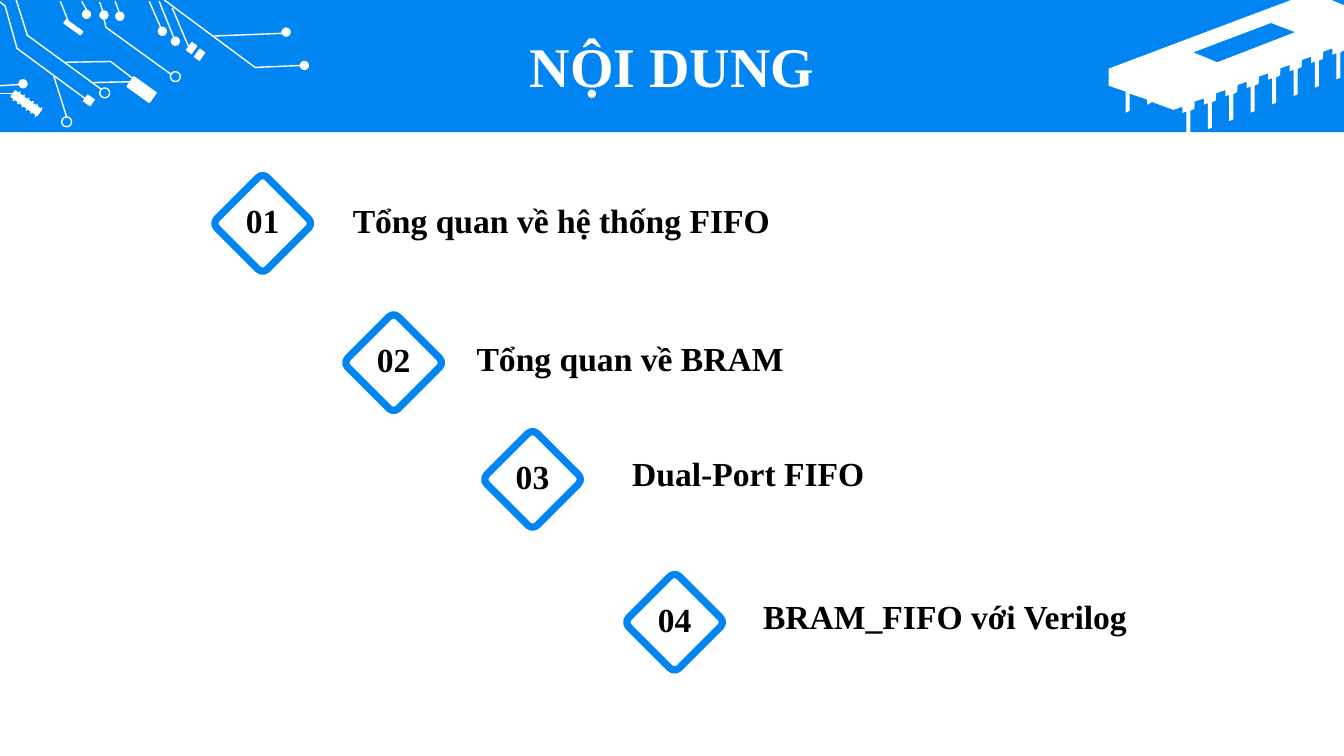
from dataclasses import dataclass
from lxml import etree
from pptx import Presentation
from pptx.dml.color import RGBColor
from pptx.enum.shapes import MSO_CONNECTOR, MSO_SHAPE
from pptx.enum.text import MSO_ANCHOR, MSO_AUTO_SIZE, PP_ALIGN
from pptx.oxml.ns import qn
from pptx.util import Cm, Pt

BOX, OVAL, ROUND = MSO_SHAPE.RECTANGLE, MSO_SHAPE.OVAL, MSO_SHAPE.ROUNDED_RECTANGLE
STRAIGHT = MSO_CONNECTOR.STRAIGHT
LEFT, CENTER = PP_ALIGN.LEFT, PP_ALIGN.CENTER
TOP, FIXED = MSO_ANCHOR.TOP, MSO_AUTO_SIZE.NONE
COLORS = {"blue": "0085F2", "white": "FFFFFF", "black": "000000"}
FONT = "Times New Roman"
WIDTH, HEIGHT = 33.87, 19.05
TILT = 35.7
Point = tuple[float, float]


@dataclass
class Part:
    x: float
    y: float
    w: float
    h: float
    kind: int = BOX
    fill: str | None = "white"


@dataclass
class Item:
    num: str
    text: str
    x: float
    y: float
    left: float
    top: float


DOTS = [(7.67, 1.65), (7.21, 0.81), (2.18, 0.36), (2.62, 0.38),
        (3.02, 0.41), (0.58, 2.11), (4.42, 1.04), (4.09, 0.79)]
RINGS = [(4.42, 1.93), (2.64, 2.34), (1.68, 3.07)]
PARTS = [
    Part(3.57, 2.26, 0.69, 0.3),
    Part(1.85, 0.69, 0.51, 0.1),
    Part(2.24, 2.53, 0.2, 0.18),
    Part(4.83, 1.21, 0.15, 0.23),
    Part(5.03, 1.38, 0.15, 0.23),
    Part(0.66, 2.6, 0.81, 0.18),
    *[Part(x, y, 0.2, 0.2, OVAL) for x, y in DOTS],
    *[Part(x, y, 0.25, 0.25, OVAL, None) for x, y in RINGS],
]
TEETH = [[(0.33 + 0.11 * i, 2.54 + 0.08 * i), (0.51 + 0.11 * i, 2.31 + 0.08 * i)]
         for i in range(6)]
WIRES = [
    [(4.14, 0), (6.43, 1.7), (7.59, 1.65)],
    [(0.41, 0), (0.69, 0.89), (2.54, 2.24)],
    [(0, 0.05), (0.13, 0.15), (0.43, 1.22), (2.18, 2.51)],
    [(1.63, 1.57), (2.79, 1.55), (3.35, 1.98)],
    [(2.62, 0.46), (2.67, 0.69), (4.32, 1.88)],
    [(1.52, 0.03), (1.73, 0.56)],
    [(2.06, 0.03), (2.18, 0.25)],
    [(2.51, 0.05), (2.59, 0.28)],
    [(2.9, 0.03), (3, 0.3)],
    [(3.76, 0.03), (4.09, 0.79)],
    [(4.01, 0.03), (4.39, 0.97)],
    [(5.33, 0.91), (7.11, 0.84)],
    [(4.34, 0.2), (4.75, 1.17)],
    [(0, 2.16), (0.48, 2.13)],
    [(0, 2.36), (0.36, 2.36)],
    [(1.35, 1.9), (1.68, 2.95)],
    [(2.34, 2.08), (3.3, 2.06)],
    *TEETH,
]
BODY = [(WIDTH, 0.13), (33.55, 0), (32.54, 0), (27.94, 1.73), (27.94, 2.16),
        (28.37, 2.31), (28.37, 2.84), (28.47, 2.79), (28.47, 2.36),
        (28.91, 2.51), (28.91, 2.64), (29.01, 2.59), (29.01, 2.56)]
PIN = [(0, 0), (0.23, -0.08), (0.23, 0.08), (0.33, 0.04),
       (0.33, 0.7), (0.43, 0.66), (0.43, 0.02), (0.53, -0.03)]
PINS = [(min(29.57 + 0.54 * i + x, WIDTH), 2.77 - 0.21 * i + y)
        for i in range(8) for x, y in PIN]
HOLE = [(32.03, 0.58), (30.07, 1.32), (30.68, 1.57), (32.64, 0.81)]
ITEMS = [
    Item("01", "Tổng quan về hệ thống FIFO", 6.62, 5.63, 8.89, 4.9),
    Item("02", "Tổng quan về BRAM", 9.92, 9.14, 12.01, 8.38),
    Item("03", "Dual-Port FIFO", 13.42, 12.08, 15.93, 11.28),
    Item("04", "BRAM_FIFO với Verilog", 17, 15.68, 19.23, 14.88),
]


def tint(name: str) -> RGBColor:
    return RGBColor.from_string(COLORS[name])


def paint(shape, fill: str | None, line: str | None, width: float = 1) -> None:
    shape.shadow.inherit = False
    if fill:
        shape.fill.solid()
        shape.fill.fore_color.rgb = tint(fill)
    else:
        shape.fill.background()
    if line:
        shape.line.color.rgb = tint(line)
        shape.line.width = Pt(width)
    else:
        shape.line.fill.background()


def place(shape, left: float, top: float, width: float, height: float) -> None:
    shape.left, shape.top = Cm(left), Cm(top)
    shape.width, shape.height = Cm(width), Cm(height)


def write(shape, text: str, *, size: float = 24, color: str = "black",
          align: int = LEFT) -> None:
    frame = shape.text_frame
    frame.text = text
    frame.word_wrap, frame.auto_size = True, FIXED
    frame.vertical_anchor = TOP
    frame.margin_left = frame.margin_right = 0
    frame.margin_top = frame.margin_bottom = Cm(0.13)
    para = frame.paragraphs[0]
    para.alignment, para.space_before, para.line_spacing = align, Pt(0), 1.0
    props = para._p.get_or_add_pPr()
    props.set("marL", "0")
    props.set("indent", "0")
    etree.SubElement(props, qn("a:buNone"))
    font = para.runs[0].font
    font.name, font.size, font.bold = FONT, Pt(size), True
    font.color.rgb = tint(color)


def scale(points: list[Point]) -> list[tuple[int, int]]:
    return [(Cm(x), Cm(y)) for x, y in points]


def draw_part(shapes, part: Part) -> None:
    shape = shapes.add_shape(part.kind, Cm(part.x - part.w / 2), Cm(part.y - part.h / 2),
                             Cm(part.w), Cm(part.h))
    shape.rotation = TILT
    paint(shape, part.fill, "white")


def draw_wire(shapes, points: list[Point]) -> None:
    start, *rest = scale(points)
    if len(rest) == 1:
        line = shapes.add_connector(STRAIGHT, *start, *rest[0])
        line.line.color.rgb = tint("white")
        line.line.width = Pt(1)
        etree.SubElement(line._element.spPr, qn("a:effectLst"))
    else:
        path = shapes.build_freeform(*start)
        path.add_line_segments(rest, close=False)
        paint(path.convert_to_shape(), None, "white")


def draw_chip(shapes) -> None:
    start, *rest = scale(BODY + PINS)
    first, *sides = scale(HOLE)
    chip = shapes.build_freeform(*start)
    chip.add_line_segments(rest)
    chip.move_to(*first) if hasattr(chip, "move_to") else chip.add_move_to(*first) if hasattr(
        chip, "add_move_to") else None
    chip.add_line_segments(sides)
    paint(chip.convert_to_shape(), "white", None)


def draw_item(shapes, item: Item, holder) -> None:
    side = 1.8
    frame = shapes.add_shape(ROUND, Cm(item.x - side / 2), Cm(item.y - side / 2),
                             Cm(side), Cm(side))
    frame.adjustments[0] = 0.09
    frame.rotation = 45
    paint(frame, None, "blue", 5.2)
    label = shapes.add_textbox(Cm(item.x - 1.33), Cm(item.y - 0.72), Cm(2.66), Cm(1.27))
    write(label, item.num, align=CENTER)
    place(holder, item.left, item.top, 11.7, 1.27)
    write(holder, item.text)


def main() -> None:
    deck = Presentation()
    deck.slide_width, deck.slide_height = Cm(WIDTH), Cm(HEIGHT)
    slide = deck.slides.add_slide(deck.slide_layouts[4])
    shapes = slide.shapes
    title, *holders = list(slide.placeholders)
    band = shapes.add_shape(BOX, 0, 0, Cm(WIDTH), Cm(3.33))
    paint(band, "blue", None)
    draw_chip(shapes)
    for part in PARTS:
        draw_part(shapes, part)
    for wire in WIRES:
        draw_wire(shapes, wire)
    place(title, 8.86, 0.66, 16.15, 1.96)
    write(title, "NỘI DUNG", size=40, color="white", align=CENTER)
    tree = title.element.getparent()
    tree.append(title.element)
    for item, holder in zip(ITEMS, holders):
        draw_item(shapes, item, holder)
        tree.append(holder.element)
    deck.save("out.pptx")


if __name__ == "__main__":
    main()
